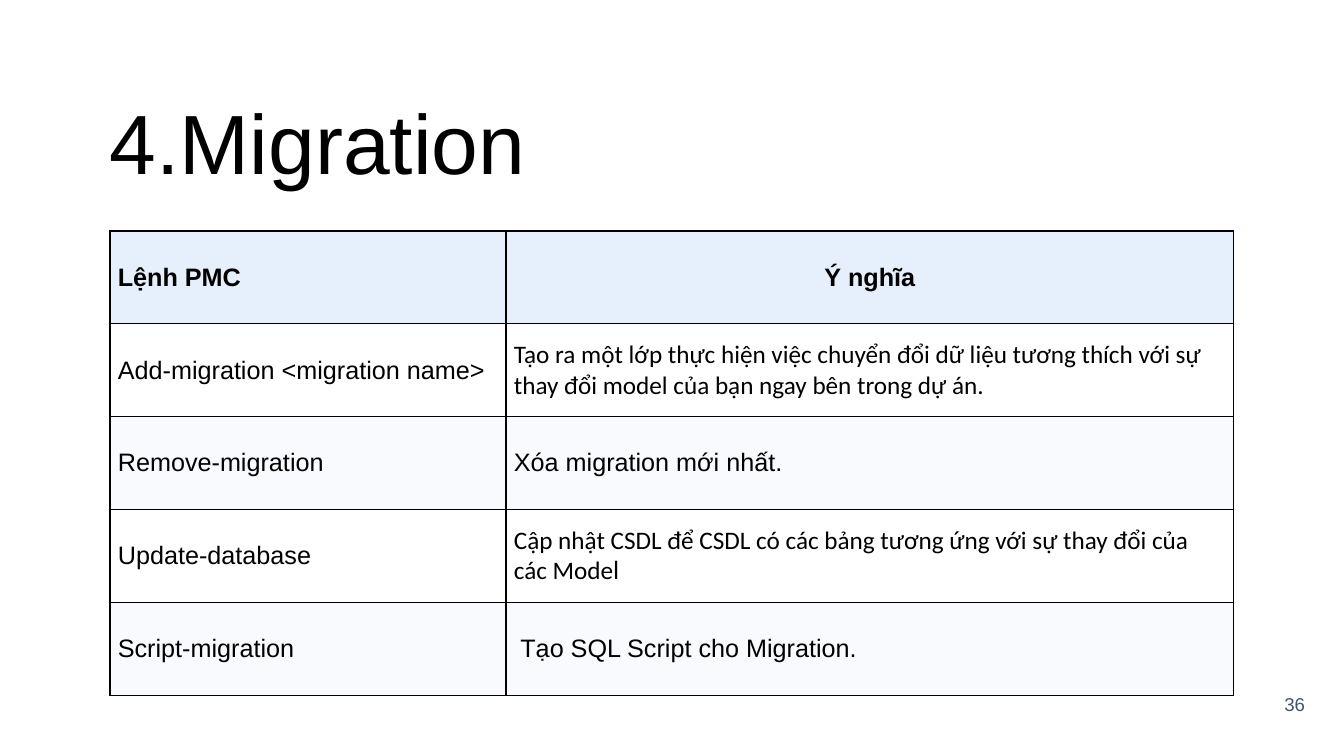
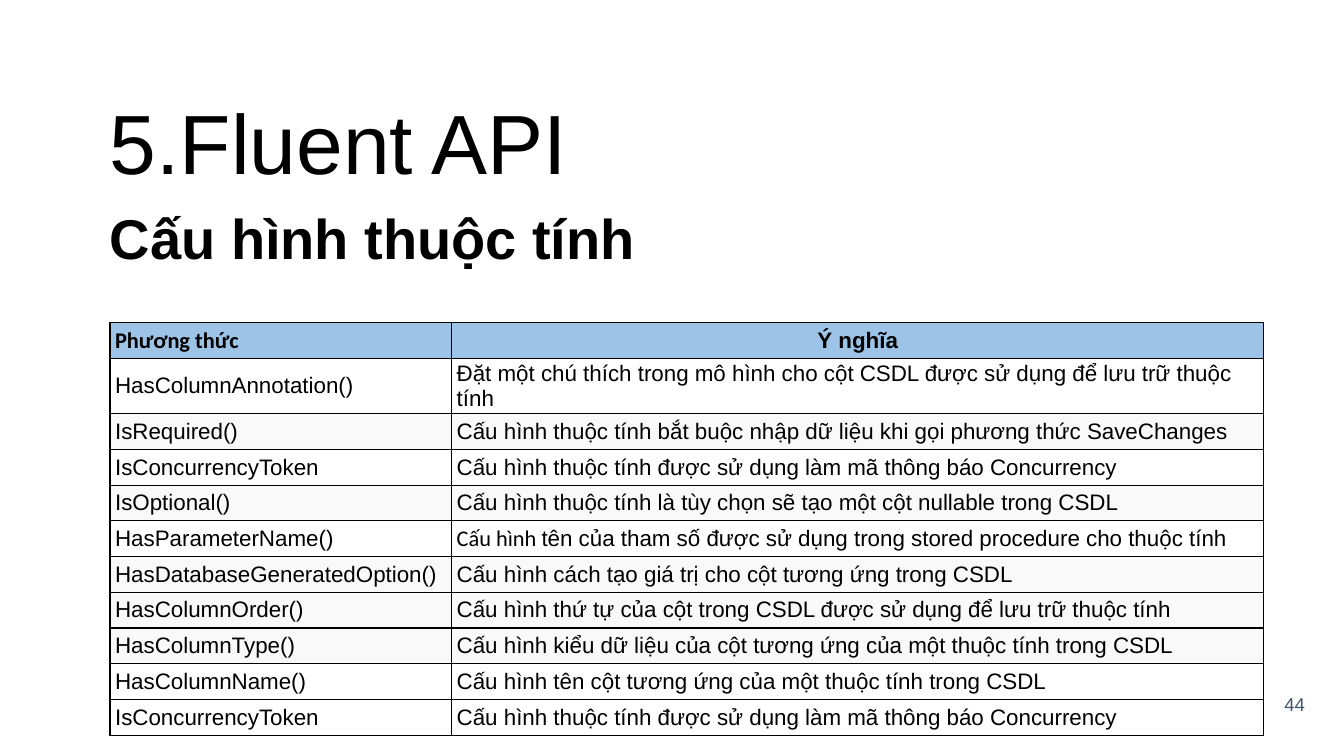
import pptx
import pptx.util
import pptx.dml.color
import pptx.enum.text
import pptx.oxml
import pptx.oxml.ns

Cm = pptx.util.Cm
Pt = pptx.util.Pt
ALIGN = pptx.enum.text.PP_ALIGN
ANCHOR = pptx.enum.text.MSO_ANCHOR

HUES = {
    "ink": "000000",
    "page": "44546A",
    "white": "FFFFFF",
    "ice": "E6EFFC",
    "mist": "F9FAFD",
    "blue": "9DC3E6",
    "grey": "F9F9F9",
}
LEFT = Cm(2.77)
WIDTH = Cm(28.32)


def put(frame, text, size=18, bold=False, hue="ink", align=ALIGN.LEFT, line=None, gap=None):
    para = frame.paragraphs[0]
    para.alignment = align
    if line:
        para.line_spacing = line
    if gap:
        para.space_before = para.space_after = Pt(gap)
    parts = [(text, "Arial")] if isinstance(text, str) else text
    for words, face in parts:
        run = para.add_run()
        run.text = words
        run.font.name = face
        run.font.size = Pt(size)
        run.font.bold = bold
        run.font.color.rgb = pptx.dml.color.RGBColor.from_string(HUES[hue])


def clear(shape, anchor):
    frame = shape.text_frame
    frame.word_wrap = True
    frame.auto_size = pptx.enum.text.MSO_AUTO_SIZE.NONE
    frame.vertical_anchor = anchor
    frame.margin_left = frame.margin_right = frame.margin_top = frame.margin_bottom = 0
    return frame


pages = [
    {
        "title": "4.Migration",
        "page": "36",
        "top": 5.82,
        "cols": [9.98, 18.34],
        "row": 2.34,
        "size": 18,
        "pad": (0.2, 0.1),
        "rows": [
            ("ice", "Lệnh PMC", "Ý nghĩa"),
            ("white", "Add-migration <migration name>",
             [("Tạo ra một lớp thực hiện việc chuyển đổi dữ liệu tương thích với sự "
               "thay đổi model của bạn ngay bên trong dự án.", "Calibri")]),
            ("mist", "Remove-migration", "Xóa migration mới nhất."),
            ("white", "Update-database",
             [("Cập nhật CSDL để CSDL có các bảng tương ứng với sự thay đổi của các Mode",
               "Calibri"), ("l", "Arial")]),
            ("mist", "Script-migration", " Tạo SQL Script cho Migration."),
        ],
    },
    {
        "title": "5.Fluent API",
        "head": "Cấu hình thuộc tính",
        "page": "44",
        "top": 8.13,
        "cols": [8.61, 20.47],
        "row": 0.9,
        "size": 16,
        "pad": (0.13, 0.07),
        "rows": [
            ("blue", [("Phương thức", "Calibri")], "Ý nghĩa"),
            ("white", "HasColumnAnnotation()",
             "Đặt một chú thích trong mô hình cho cột CSDL được sử dụng để lưu trữ thuộc tính"),
            ("grey", "IsRequired()",
             "Cấu hình thuộc tính bắt buộc nhập dữ liệu khi gọi phương thức SaveChanges"),
            ("white", "IsConcurrencyToken",
             "Cấu hình thuộc tính được sử dụng làm mã thông báo Concurrency"),
            ("grey", "IsOptional()",
             "Cấu hình thuộc tính là tùy chọn sẽ tạo một cột nullable trong CSDL"),
            ("white", "HasParameterName()",
             [("Cấu hình ", "Calibri"),
              ("tên của tham số được sử dụng trong stored procedure cho thuộc tính", "Arial")]),
            ("grey", "HasDatabaseGeneratedOption()",
             "Cấu hình cách tạo giá trị cho cột tương ứng trong CSDL"),
            ("grey", "HasColumnOrder()",
             "Cấu hình thứ tự của cột trong CSDL được sử dụng để lưu trữ thuộc tính"),
            ("grey", "HasColumnType()",
             "Cấu hình kiểu dữ liệu của cột tương ứng của một thuộc tính trong CSDL"),
            ("white", "HasColumnName()",
             "Cấu hình tên cột tương ứng của một thuộc tính trong CSDL"),
            ("white", "IsConcurrencyToken",
             "Cấu hình thuộc tính được sử dụng làm mã thông báo Concurrency"),
        ],
    },
]

deck = pptx.Presentation()
deck.slide_width = Cm(33.87)
deck.slide_height = Cm(19.05)

for page in pages:
    slide = deck.slides.add_slide(deck.slide_layouts[5])
    title = slide.shapes.title
    title.left, title.top, title.width, title.height = LEFT, Cm(2.51), WIDTH, Cm(2.34)
    put(clear(title, ANCHOR.BOTTOM), page["title"], size=60, line=0.9)

    if "head" in page:
        head = slide.shapes.add_textbox(LEFT, Cm(5.33), WIDTH, Cm(2.31))
        put(clear(head, ANCHOR.TOP), page["head"], size=40, bold=True, line=0.9, gap=13.3)

    foot = slide.shapes.add_textbox(Cm(31.32), Cm(17.5), Cm(1.57), Cm(0.53))
    put(clear(foot, ANCHOR.BOTTOM), page["page"], size=13.3, hue="page", align=ALIGN.RIGHT)

    rows, cols = page["rows"], page["cols"]
    table = slide.shapes.add_table(len(rows), len(cols), LEFT, Cm(page["top"]),
                                   Cm(sum(cols)), Cm(page["row"] * len(rows))).table
    for col, width in zip(table.columns, cols):
        col.width = Cm(width)
    side, edge = page["pad"]
    for r, (fill, *texts) in enumerate(rows):
        table.rows[r].height = Cm(page["row"])
        for c, text in enumerate(texts):
            cell = table.cell(r, c)
            cell.margin_left = cell.margin_right = Cm(side)
            cell.margin_top = cell.margin_bottom = Cm(edge)
            cell.vertical_anchor = ANCHOR.MIDDLE
            props = cell._tc.get_or_add_tcPr()
            for tag in ("lnL", "lnR", "lnT", "lnB"):
                props.append(pptx.oxml.parse_xml(
                    f'<a:{tag} {pptx.oxml.ns.nsdecls("a")} w="{Pt(1)}"><a:solidFill>'
                    f'<a:srgbClr val="{HUES["ink"]}"/></a:solidFill></a:{tag}>'))
            cell.fill.solid()
            cell.fill.fore_color.rgb = pptx.dml.color.RGBColor.from_string(HUES[fill])
            put(cell.text_frame, text, size=page["size"], bold=r == 0,
                align=ALIGN.CENTER if r == 0 and c == 1 else ALIGN.LEFT)

deck.save("out.pptx")
